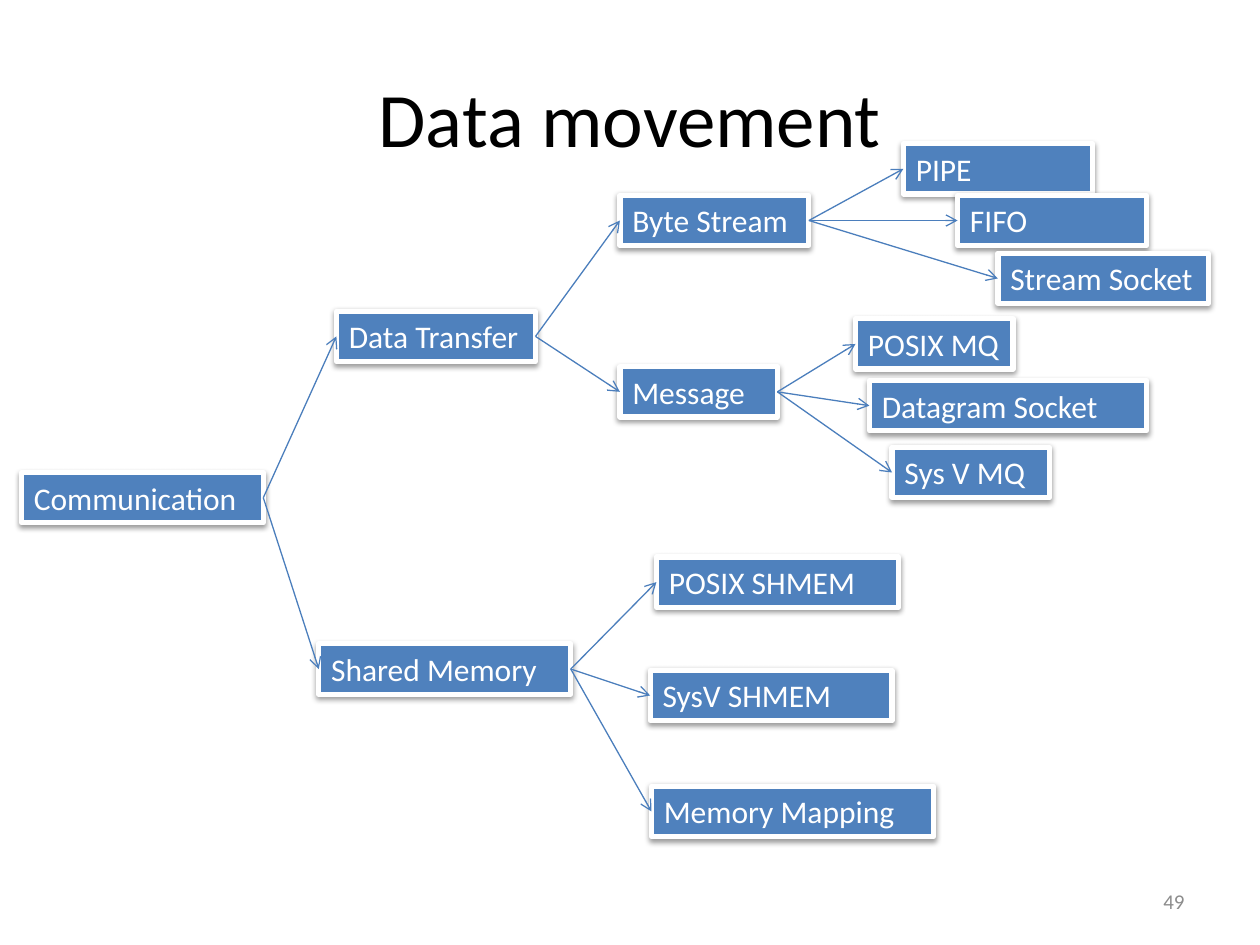
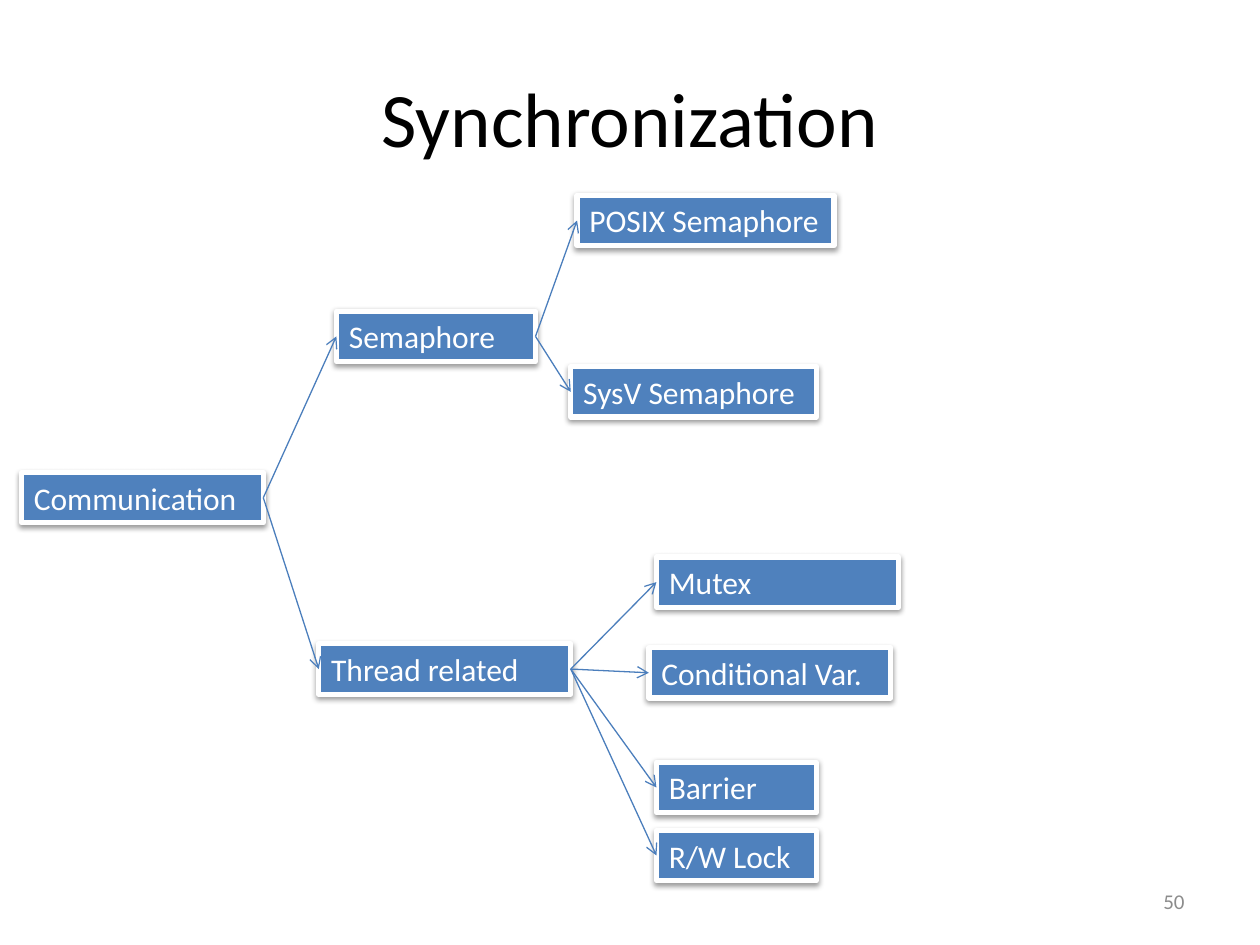
from lxml.etree import SubElement
from pptx import Presentation
from pptx.dml.color import RGBColor
from pptx.enum.shapes import MSO_CONNECTOR, MSO_SHAPE
from pptx.enum.text import MSO_ANCHOR, MSO_AUTO_SIZE, PP_ALIGN
from pptx.oxml.ns import qn
from pptx.util import Inches, Pt

BOX_FILL, ARROW, WHITE, BLACK, GREY = "4F81BD", "4B7EBC", "FFFFFF", "000000", "8C8C8C"
BOX_HEIGHT = 0.4
LEFT_SIDE, RIGHT_SIDE = 1, 3

# Places the two trees share: left, top, width
ROOT = (0.17, 3.75, 1.92)
UPPER = (2.67, 2.47, 1.58)
LOWER = (2.53, 5.11, 2.0)
LOWER_FIRST = (5.21, 4.42, 1.92)

# Each node: label, parent label, place
TREES = [
    ("Data movement", "49", [
        ("Communication", None, ROOT),
        ("Data Transfer", "Communication", UPPER),
        ("Shared Memory", "Communication", LOWER),
        ("Byte Stream", "Data Transfer", (4.92, 1.55, 1.5)),
        ("Message", "Data Transfer", (4.92, 2.91, 1.25)),
        ("POSIX SHMEM", "Shared Memory", LOWER_FIRST),
        ("SysV SHMEM", "Shared Memory", (5.16, 5.32, 1.92)),
        ("Memory Mapping", "Shared Memory", (5.17, 6.24, 2.24)),
        ("PIPE", "Byte Stream", (7.17, 1.14, 1.5)),
        ("FIFO", "Byte Stream", (7.6, 1.55, 1.5)),
        ("Stream Socket", "Byte Stream", (7.92, 2.01, 1.67)),
        ("Sys V MQ", "Message", (7.08, 3.55, 1.25)),
        ("POSIX MQ", "Message", (6.79, 2.53, 1.25)),
        ("Datagram Socket", "Message", (6.9, 3.02, 2.2)),
    ]),
    ("Synchronization", "50", [
        ("Communication", None, ROOT),
        ("Semaphore", "Communication", UPPER),
        ("Thread related", "Communication", LOWER),
        ("POSIX Semaphore", "Semaphore", (4.58, 1.55, 2.04)),
        ("SysV Semaphore", "Semaphore", (4.53, 2.91, 1.95)),
        ("Mutex", "Thread related", LOWER_FIRST),
        ("Conditional Var.", "Thread related", (5.15, 5.14, 1.92)),
        ("Barrier", "Thread related", (5.21, 6.05, 1.27)),
        ("R/W Lock", "Thread related", (5.21, 6.59, 1.27)),
    ]),
]


def color(hex_string):
    return RGBColor.from_string(hex_string)


def write(shape, text, size, hex_color, align, anchor):
    """Put one run of text into a shape."""
    frame = shape.text_frame
    frame.word_wrap = True
    frame.vertical_anchor = anchor
    paragraph = frame.paragraphs[0]
    paragraph.alignment = align
    run = paragraph.add_run()
    run.text = text
    run.font.name = "Calibri"
    run.font.size = Pt(size)
    run.font.color.rgb = color(hex_color)


prs = Presentation()
prs.slide_width, prs.slide_height = Inches(10), Inches(7.5)

for heading, page, nodes in TREES:
    slide = prs.slides.add_slide(prs.slide_layouts[6])
    title = slide.shapes.add_textbox(Inches(0.5), Inches(0.3), Inches(9), Inches(1.25))
    write(title, heading, 44, BLACK, PP_ALIGN.CENTER, MSO_ANCHOR.MIDDLE)

    boxes = {}
    for label, parent, (left, top, width) in nodes:
        box = slide.shapes.add_shape(MSO_SHAPE.RECTANGLE, Inches(left), Inches(top),
                                     Inches(width), Inches(BOX_HEIGHT))
        box.fill.solid()
        box.fill.fore_color.rgb = color(BOX_FILL)
        box.line.color.rgb = color(WHITE)
        box.line.width = Pt(3)
        write(box, label, 18, WHITE, PP_ALIGN.LEFT, MSO_ANCHOR.TOP)
        box.text_frame.auto_size = MSO_AUTO_SIZE.SHAPE_TO_FIT_TEXT
        boxes[label] = box

        # Soft shadow straight below the box
        box.shadow.inherit = False
        effects = box._element.spPr.find(qn("a:effectLst"))
        shadow = SubElement(effects, qn("a:outerShdw"), blurRad=str(Pt(3.1)),
                            dist=str(Pt(1.6)), dir="5400000", rotWithShape="0")
        shade = SubElement(shadow, qn("a:srgbClr"), val=BLACK)
        SubElement(shade, qn("a:alpha"), val="38000")

        if parent:
            branch = slide.shapes.add_connector(MSO_CONNECTOR.STRAIGHT, 0, 0, 0, 0)
            branch.begin_connect(boxes[parent], RIGHT_SIDE)
            branch.end_connect(box, LEFT_SIDE)
            branch.line.color.rgb = color(ARROW)
            branch.line.width = Pt(0.75)
            properties = branch._element.spPr
            SubElement(properties.find(qn("a:ln")), qn("a:tailEnd"), type="arrow")
            SubElement(properties, qn("a:effectLst"))

    number = slide.shapes.add_textbox(Inches(7.17), Inches(6.95), Inches(2.33), Inches(0.4))
    write(number, page, 12, GREY, PP_ALIGN.RIGHT, MSO_ANCHOR.MIDDLE)

prs.save("out.pptx")
